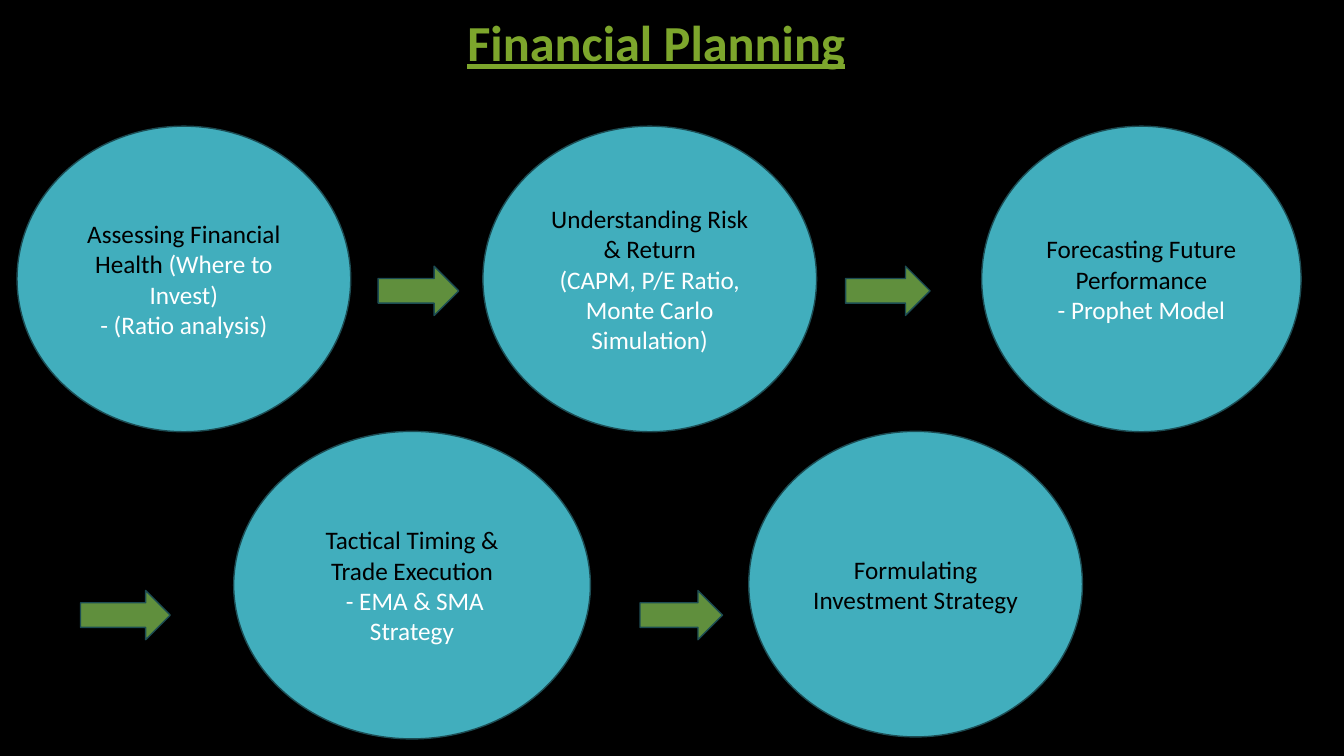
from pptx import Presentation, util as u
from pptx.dml.color import RGBColor
from pptx.enum import shapes, text

BLACK = RGBColor(0x00, 0x00, 0x00)
WHITE = RGBColor(0xFF, 0xFF, 0xFF)
LIME = RGBColor(0x7D, 0xA6, 0x2C)
TEAL = RGBColor(0x41, 0xAE, 0xBD)
GREEN = RGBColor(0x60, 0x8F, 0x3D)
EDGE = RGBColor(0x1C, 0x4C, 0x53)

# Content: each step is a list of paragraphs, each a list of (words, colour)
TITLE = "Financial Planning"
STEPS = [
    [[("Assessing Financial Health", BLACK), (" (Where to Invest)", WHITE)],
     [("- (Ratio analysis)", WHITE)]],
    [[("Understanding Risk & Return", BLACK)],
     [("(CAPM, P/E Ratio, Monte Carlo Simulation)", WHITE)]],
    [[("Forecasting Future Performance", BLACK)],
     [("- Prophet Model", WHITE)]],
    [[("Tactical Timing & Trade Execution", BLACK)],
     [(" - EMA & SMA Strategy", WHITE)]],
    [[("Formulating Investment Strategy", BLACK)]],
]

# Layout in cm: row tops, then (row, left, width, height) or (row, left, width)
TOPS = (3.18, 10.87)
DROPS = (3.53, 4.01)  # from the row top to its arrows
DISCS = [(0, 0.43, 8.41, 7.7), (0, 12.17, 8.41, 7.7), (0, 24.74, 8.05, 7.7),
         (1, 5.89, 8.99, 7.75), (1, 18.87, 8.41, 7.7)]
ARROWS = [(0, 9.53, 2.03), (0, 21.31, 2.13), (1, 2.03, 2.26), (1, 16.13, 2.08)]
TALL = 1.24

HEAD = {"name": "Calibri", "size": u.Pt(36), "bold": True, "underline": True}
BODY = {"name": "Calibri", "size": u.Pt(18)}

deck = Presentation()
deck.slide_width, deck.slide_height = u.Cm(33.87), u.Cm(19.05)
slide = deck.slides.add_slide(deck.slide_layouts[6])
slide.background.fill.solid()
slide.background.fill.fore_color.rgb = BLACK


def write(para, words, color, form):
    run = para.add_run()
    run.text = words
    run.font.color.rgb = color
    for key, val in form.items():
        setattr(run.font, key, val)


def draw(kind, box, fill):
    shape = slide.shapes.add_shape(kind, *map(u.Cm, box))
    shape.shadow.inherit = False
    shape.fill.solid()
    shape.fill.fore_color.rgb = fill
    shape.line.color.rgb = EDGE
    shape.line.width = u.Pt(1)
    return shape


def setup(frame):
    frame.word_wrap = True
    frame.vertical_anchor = text.MSO_ANCHOR.MIDDLE
    return frame


# Title
frame = setup(slide.shapes.add_textbox(
    *map(u.Cm, (11.53, -0.13, 10.77, 2.54))).text_frame)
frame.paragraphs[0].line_spacing = 0.9
write(frame.paragraphs[0], TITLE, LIME, HEAD)

# Steps
for (row, left, wide, high), step in zip(DISCS, STEPS):
    disc = draw(shapes.MSO_SHAPE.OVAL, (left, TOPS[row], wide, high), TEAL)
    frame = setup(disc.text_frame)
    for i, runs in enumerate(step):
        para = frame.add_paragraph() if i else frame.paragraphs[0]
        para.alignment = text.PP_ALIGN.CENTER
        for words, color in runs:
            write(para, words, color, BODY)

# Arrows between steps
for row, left, wide in ARROWS:
    draw(shapes.MSO_SHAPE.RIGHT_ARROW,
         (left, TOPS[row] + DROPS[row], wide, TALL), GREEN)

deck.save("out.pptx")
